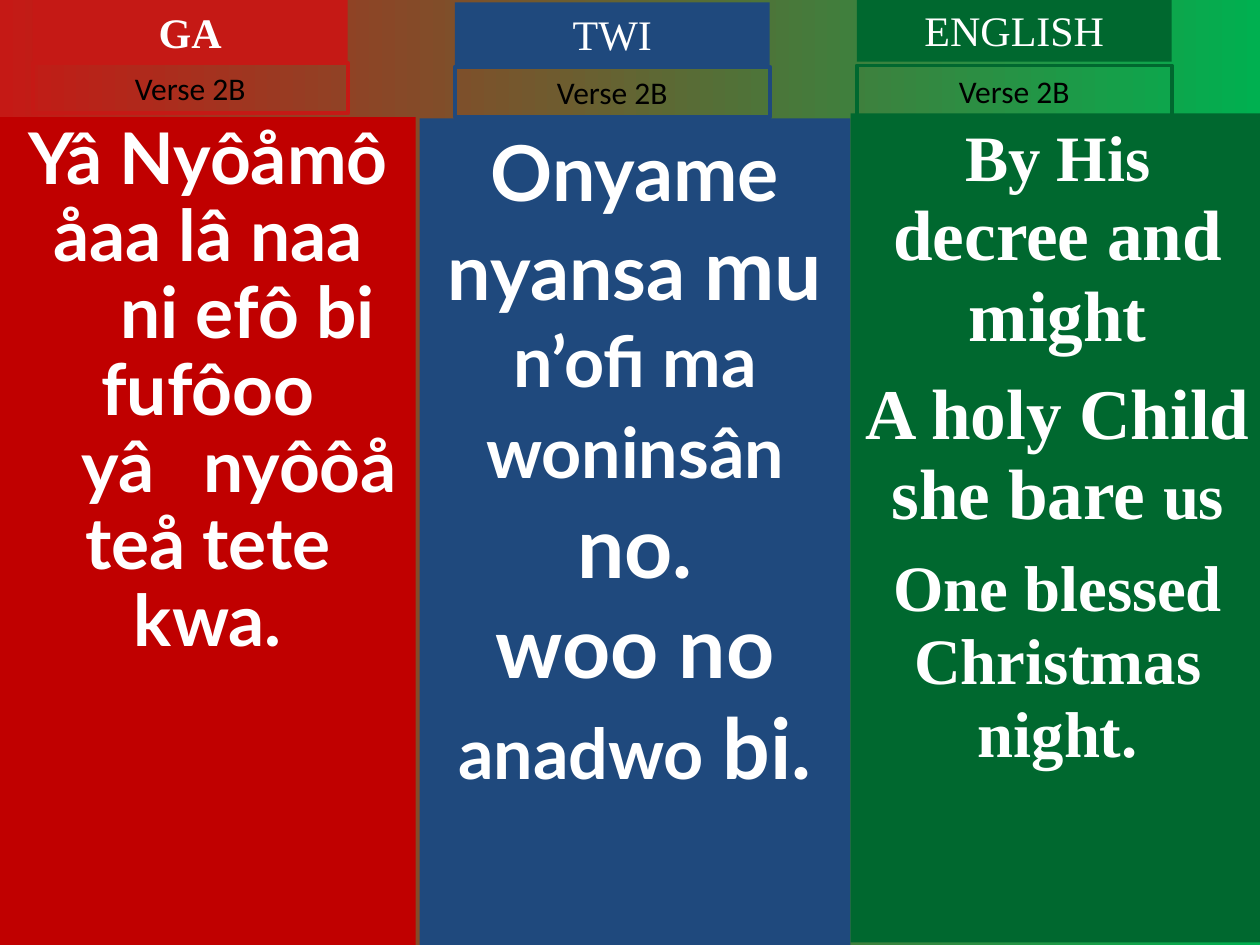
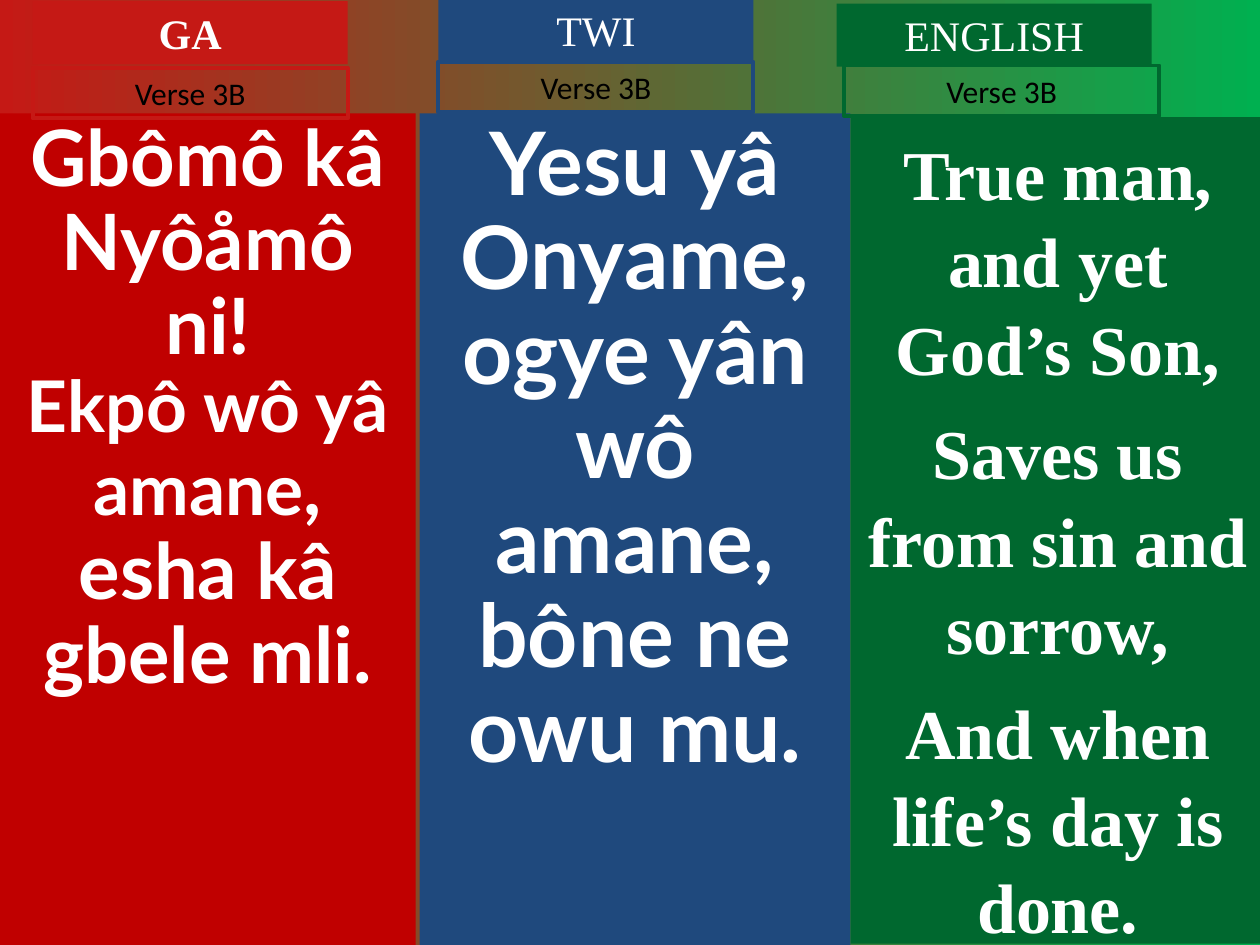
from dataclasses import dataclass

from pptx import Presentation
from pptx.dml.color import RGBColor as Color
from pptx.enum.shapes import MSO_SHAPE as Shape
from pptx.enum.text import MSO_ANCHOR as Anchor, PP_ALIGN as Align
from pptx.util import Inches, Pt

COLUMNS, ROWS = 1000, 750


@dataclass(frozen=True)
class Theme:
    """Colours, fonts and type sizes of the hymn slides."""
    band_start: str = "C51915"
    band_end: str = "00B050"
    red: str = "C00000"
    blue: str = "1F497D"
    green: str = "00682F"
    white: str = "FFFFFF"
    black: str = "000000"
    lyric_font: str = "Lato"
    serif_font: str = "Times New Roman"
    label_font: str = "Calibri"
    label: float = 18
    heading: float = 24
    small: float = 37
    regular: float = 40
    roomy: float = 40.7
    large: float = 44
    wide: float = 44.4
    huge: float = 48
    giant: float = 50
    outline: float = 2.25


THEME = Theme()


@dataclass(frozen=True)
class Language:
    """Look and horizontal place of one language column."""
    name: str
    accent: str
    panel: str
    font: str
    left: int
    width: int
    bold_heading: bool = False
    space_before: float = 0
    top_inset: float = 0.05


@dataclass(frozen=True)
class Line:
    """One paragraph of a verse, as (text, size, letter spacing) runs."""
    runs: tuple
    indent: float = 0


@dataclass(frozen=True)
class Verse:
    """Verse of one language with the places of its three boxes."""
    heading_at: tuple
    label_at: tuple
    panel_rows: tuple
    spacing: float
    lines: tuple


def line(*runs, indent=0):
    """Make a paragraph from runs."""
    return Line(runs, indent)


class HymnDeck:
    """Presentation builder with the theme and the current slide."""

    def __init__(self, theme):
        """Start a presentation of standard size."""
        self.theme = theme
        self.presentation = Presentation()
        self.presentation.slide_width = Inches(10)
        self.presentation.slide_height = Inches(7.5)
        self.slide = None

    def add_slide(self):
        """Add a blank slide with the red to green background."""
        self.slide = self.presentation.slides.add_slide(self.presentation.slide_layouts[6])
        fill = self.slide.background.fill
        fill.gradient()
        fill.gradient_angle = 0
        for stop, colour in zip(fill.gradient_stops, (self.theme.band_start, self.theme.band_end)):
            stop.color.rgb = Color.from_string(colour)

    def box(self, left, top, width, height, fill=None, outline=None):
        """Add a rectangle measured in grid columns and rows."""
        column = self.presentation.slide_width / COLUMNS
        row = self.presentation.slide_height / ROWS
        shape = self.slide.shapes.add_shape(
            Shape.RECTANGLE, round(left * column), round(top * row),
            round(width * column), round(height * row))
        shape.shadow.inherit = False
        if fill:
            shape.fill.solid()
            shape.fill.fore_color.rgb = Color.from_string(fill)
        else:
            shape.fill.background()
        if outline:
            shape.line.color.rgb = Color.from_string(outline)
            shape.line.width = Pt(self.theme.outline)
        else:
            shape.line.fill.background()
        shape.text_frame.word_wrap = True
        shape.text_frame.vertical_anchor = Anchor.TOP
        return shape

    def style(self, run, font, size, colour, bold=False):
        """Format one run."""
        run.font.name = font
        run.font.size = Pt(size)
        run.font.bold = bold
        run.font.color.rgb = Color.from_string(colour)

    def caption(self, shape, text, *look):
        """Write one centred line in a box."""
        shape.text_frame.text = text
        paragraph = shape.text_frame.paragraphs[0]
        paragraph.alignment = Align.CENTER
        self.style(paragraph.runs[0], *look)

    def heading(self, language, left, top):
        """Add the filled box with the language name."""
        shape = self.box(left, top, 250, 50, fill=language.accent)
        self.caption(shape, language.name, self.theme.serif_font, self.theme.heading,
                     self.theme.white, language.bold_heading)

    def label(self, language, left, top, text):
        """Add the outlined box with the verse number."""
        shape = self.box(left, top, 250, 40, outline=language.accent)
        self.caption(shape, text, self.theme.label_font, self.theme.label, self.theme.black)

    def panel(self, language, verse):
        """Add the large coloured box with the verse."""
        top, height = verse.panel_rows
        shape = self.box(language.left, top, language.width, height, fill=language.panel)
        frame = shape.text_frame
        frame.margin_top = Inches(language.top_inset)
        for index, verse_line in enumerate(verse.lines):
            paragraph = frame.add_paragraph() if index else frame.paragraphs[0]
            paragraph.alignment = Align.CENTER
            paragraph.line_spacing = verse.spacing
            paragraph.space_before = Pt(language.space_before if index else 0)
            if verse_line.indent:
                paragraph._p.get_or_add_pPr().set("indent", str(Inches(verse_line.indent)))
            for text, size, *tracking in verse_line.runs:
                run = paragraph.add_run()
                run.text = text
                self.style(run, language.font, size, self.theme.white, True)
                if tracking:
                    run.font._element.set("spc", str(tracking[0] * 100))

    def verse_slide(self, title, verses):
        """Add a slide with the same verse in every language."""
        self.add_slide()
        for language, verse in zip(LANGUAGES, verses):
            self.panel(language, verse)
            self.heading(language, *verse.heading_at)
            self.label(language, *verse.label_at, title)


LANGUAGES = (
    Language("GA", THEME.band_start, THEME.red, THEME.lyric_font, 0, 330, bold_heading=True),
    Language("TWI", THEME.blue, THEME.blue, THEME.lyric_font, 333, 342),
    Language("ENGLISH", THEME.green, THEME.green, THEME.serif_font, 675, 329,
             space_before=10, top_inset=0.08),
)

VERSES = {
    "Verse 2B": (
        Verse((26, 0), (26, 50), (93, 657), 0.9, (
            line(("Yâ Nyôåmô åaa lâ naa", THEME.roomy)),
            line(("ni efô bi fufôoo", THEME.roomy), indent=0.63),
            line(("yâ", THEME.roomy), (" ", THEME.roomy, 18),
                 ("nyôôå teå tete kwa.", THEME.roomy), indent=0.5))),
        Verse((361, 2), (361, 53), (94, 656), 1.0, (
            line(("Onyame nyansa ", THEME.large), ("mu", THEME.huge)),
            line(("n’ofi ma woninsân", THEME.regular), (" ", THEME.large), ("no.", THEME.huge)),
            line(("woo no ", THEME.huge), ("anadwo", THEME.regular),
                 (" ", THEME.large), ("bi.", THEME.huge)))),
        Verse((680, -1), (680, 52), (90, 658), 0.94, (
            line(("By His ", THEME.small), ("decree and might", THEME.roomy)),
            line(("A holy Child she bare ", THEME.roomy), ("us", THEME.small)),
            line(("One blessed Christmas night.", THEME.small)))),
    ),
    "Verse 3B": (
        Verse((26, 1), (26, 54), (90, 660), 0.9, (
            line(("Gbômô kâ Nyôåmô ni!", THEME.wide)),
            line(("Ekpô wô yâ amane", THEME.roomy), (",", THEME.wide)),
            line(("esha kâ gbele mli.", THEME.wide)))),
        Verse((348, -1), (348, 49), (90, 660), 0.9, (
            line(("Yesu yâ Onyame,", THEME.giant)),
            line(("ogye yân wô amane,", THEME.giant)),
            line(("bône ne owu mu.", THEME.giant)))),
        Verse((664, 3), (670, 52), (93, 656), 1.04, (
            line(("True man, and yet God’s Son,", THEME.regular)),
            line(("Saves us from sin and sorrow,", THEME.regular)),
            line(("And when life’s day is done.", THEME.regular)))),
    ),
}


def main():
    """Build the verse slides and save them."""
    deck = HymnDeck(THEME)
    for title, verses in VERSES.items():
        deck.verse_slide(title, verses)
    deck.presentation.save("out.pptx")


if __name__ == "__main__":
    main()
